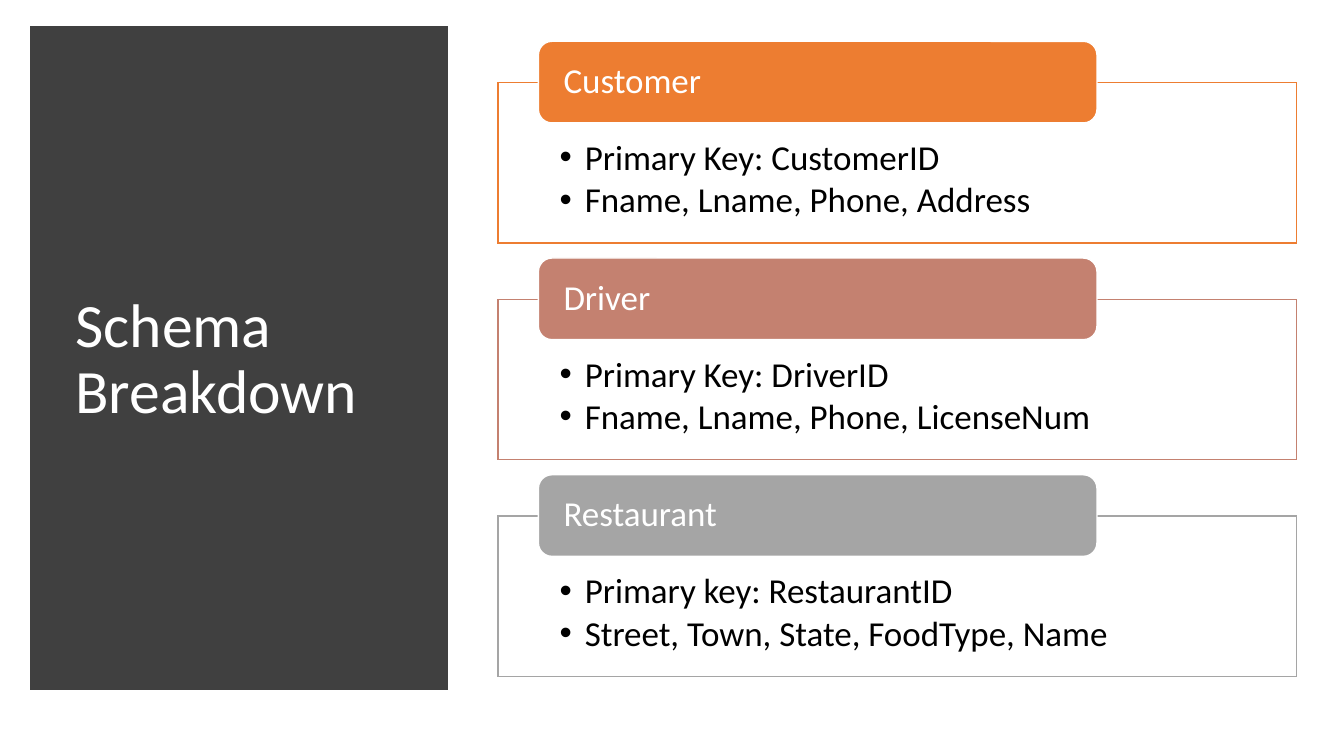
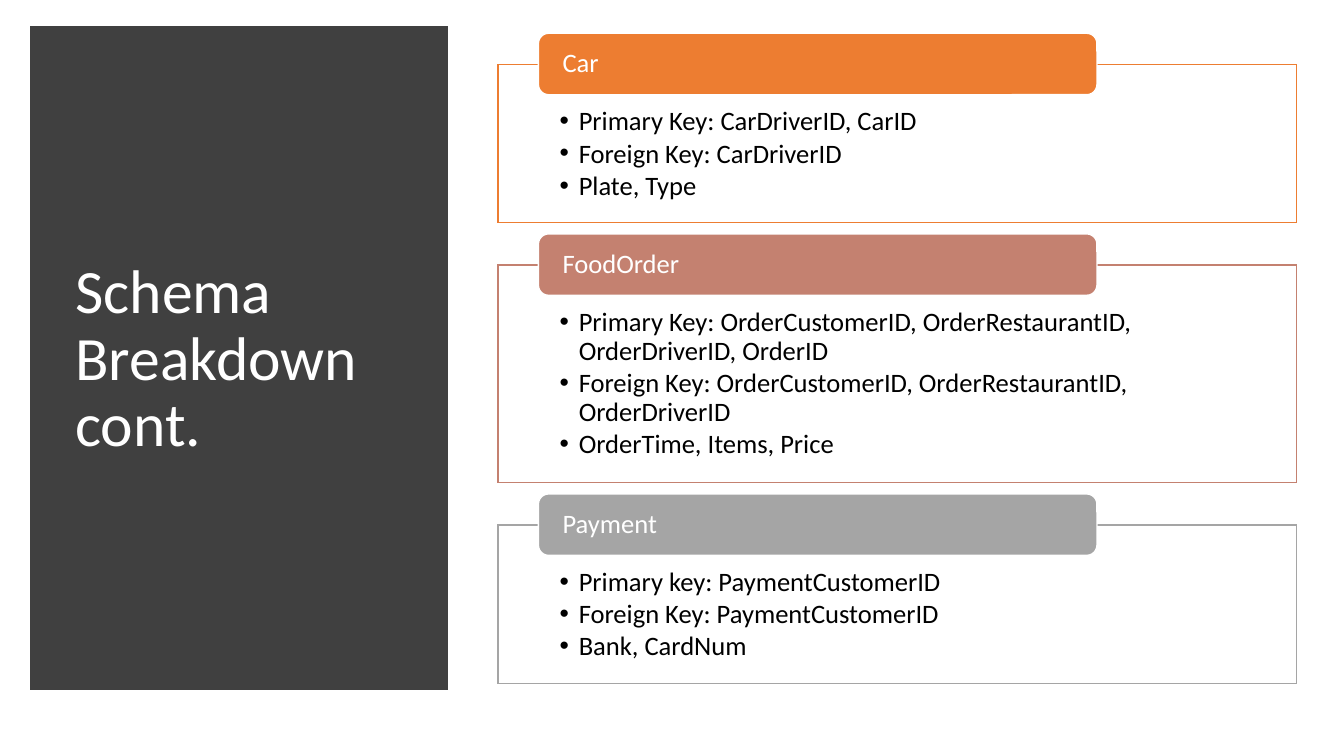
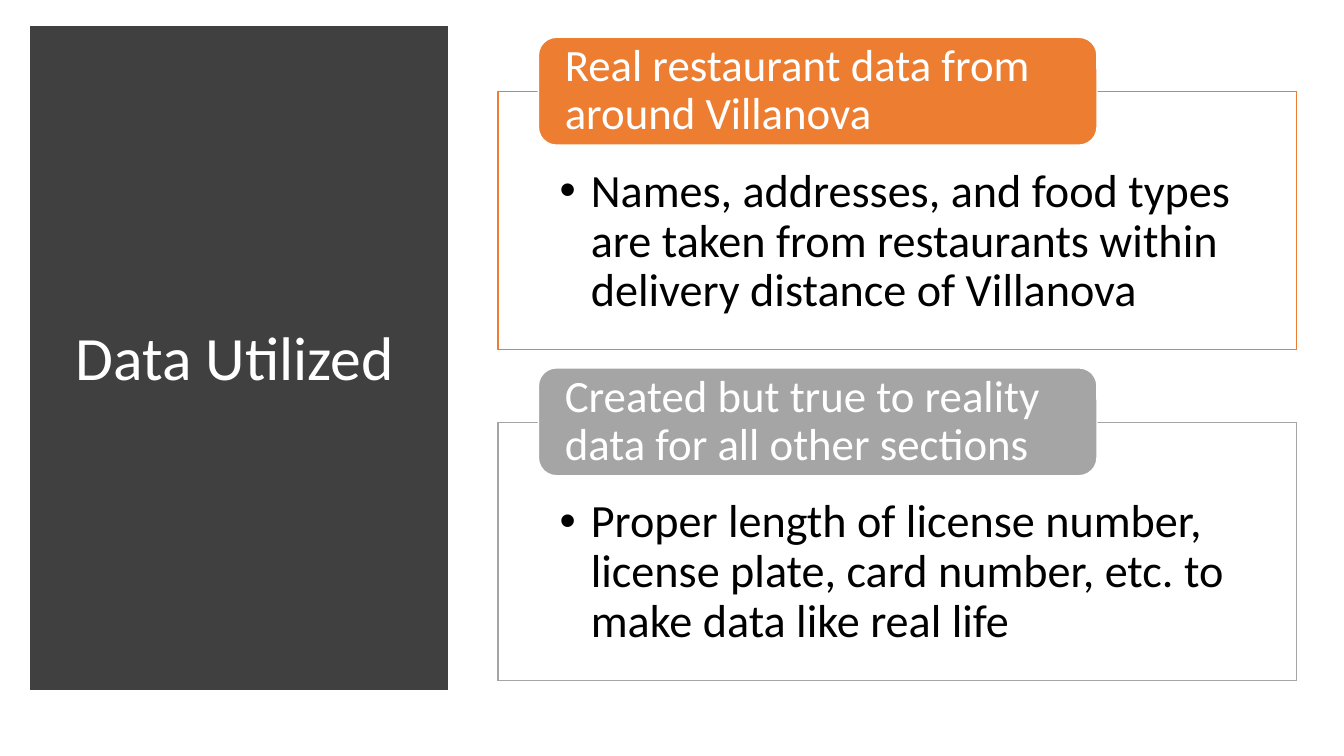
import lxml.etree
import pptx
import pptx.dml.color
import pptx.enum.shapes
import pptx.enum.text
import pptx.oxml.ns
import pptx.util

# Shared look
HUES = {
    "dark": "404040", "white": "FFFFFF", "black": "000000",
    "orange": "ED7D31", "rose": "C48170", "gray": "A5A5A5",
}
FONT = "Calibri"
SIZE = (1333, 750)
PANEL = (37, 33, 400, 645)
TITLE = (65, 70, 346, 575)
STACK = (494, 33, 792, 645)
KIND = pptx.enum.shapes.MSO_SHAPE
ANCHOR = pptx.enum.text.MSO_ANCHOR
qn = pptx.oxml.ns.qn


def px(num):
    return pptx.util.Emu(num * 9144)


def rgb(name):
    return pptx.dml.color.RGBColor.from_string(HUES[name])


def apply(item, form):
    for key, val in form.items():
        setattr(item, key, val)


def draw(slide, kind, box, fill, edge, width=1):
    shape = slide.shapes.add_shape(kind, *map(px, box))
    shape.shadow.inherit = False
    shape.fill.solid()
    shape.fill.fore_color.rgb = rgb(fill)
    shape.line.color.rgb = rgb(edge)
    shape.line.width = pptx.util.Pt(width)
    line = shape._element.spPr.find(qn("a:ln"))
    lxml.etree.SubElement(line, qn("a:miter"), lim="800000")
    return shape


def write(shape, lines, size, hue, pads, anchor, indent=0):
    frame = shape.text_frame
    sides = ("margin_left", "margin_top", "margin_right", "margin_bottom")
    apply(frame, dict(zip(sides, map(px, pads))))
    apply(frame, {"word_wrap": True, "vertical_anchor": anchor})
    for num, line in enumerate(lines):
        para = frame.add_paragraph() if num else frame.paragraphs[0]
        para.text = line
        apply(para, {"alignment": pptx.enum.text.PP_ALIGN.LEFT,
                     "line_spacing": 0.9})
        for run in para.runs:
            apply(run.font, {"name": FONT, "size": pptx.util.Pt(size)})
            run.font.color.rgb = rgb(hue)
        if indent:
            para.space_after = pptx.util.Pt(round(size * 0.13, 1))
            props = para._p.get_or_add_pPr()
            props.set("marL", str(px(indent)))
            props.set("indent", str(-px(indent)))
            lxml.etree.SubElement(props, qn("a:buFont"), typeface="Arial")
            lxml.etree.SubElement(props, qn("a:buChar"), char="•")


# Dark panel with the slide title
def side(slide, title):
    draw(slide, KIND.RECTANGLE, PANEL, "dark", "dark", 10)
    area = slide.shapes.add_textbox(*map(px, TITLE))
    write(area, [title], 44, "white", (10, 5, 10, 5), ANCHOR.MIDDLE)


# Outlined list with a tab over its top edge
def card(slide, box, tab, hue, head, items, form):
    left, top, width, high = box
    size = form["body"]
    half = (tab + 1) // 2
    body = draw(slide, KIND.RECTANGLE, (left, top + half, width, high - half),
                "white", hue)
    pads = (61, round(size * 2.28), 61, round(size * 0.78))
    write(body, items, size, "black", pads, ANCHOR.TOP, form["indent"])
    label = draw(slide, KIND.ROUNDED_RECTANGLE,
                 (left + 40, top, width * 7 // 10, tab), hue, "white")
    write(label, [head], form["head"], "white", (21, 0, 21, 0), ANCHOR.MIDDLE)


# Column of cards at equal gaps
def stack(slide, box, form, cards):
    left, top, width, _ = box
    top += form["drop"]
    for hue, high, head, items in cards:
        card(slide, (left, top, width, high), form["tab"], hue, head, items, form)
        top += high + form["gap"]


DECK = [
    ("Schema Breakdown",
     {"drop": 8, "tab": 81, "gap": 15, "head": 25, "body": 25, "indent": 25},
     [("orange", 200, "Customer",
       ["Primary Key: CustomerID", "Fname, Lname, Phone, Address"]),
      ("rose", 200, "Driver",
       ["Primary Key: DriverID", "Fname, Lname, Phone, LicenseNum"]),
      ("gray", 200, "Restaurant",
       ["Primary key: RestaurantID", "Street, Town, State, FoodType, Name"])]),
    ("Schema Breakdown\ncont.",
     {"drop": 0, "tab": 61, "gap": 11, "head": 19, "body": 19, "indent": 19},
     [("orange", 188, "Car",
       ["Primary Key: CarDriverID, CarID", "Foreign Key: CarDriverID",
        "Plate, Type"]),
      ("rose", 247, "FoodOrder",
       ["Primary Key: OrderCustomerID, OrderRestaurantID, OrderDriverID, OrderID",
        "Foreign Key: OrderCustomerID, OrderRestaurantID, OrderDriverID",
        "OrderTime, Items, Price"]),
      ("gray", 188, "Payment",
       ["Primary key: PaymentCustomerID", "Foreign Key: PaymentCustomerID",
        "Bank, CardNum"])]),
    ("Data Utilized",
     {"drop": 4, "tab": 107, "gap": 18, "head": 32, "body": 33, "indent": 31},
     [("orange", 310, "Real restaurant data from around Villanova",
       ["Names, addresses, and food types are taken from restaurants within "
        "delivery distance of Villanova"]),
      ("gray", 310, "Created but true to reality data for all other sections",
       ["Proper length of license number, license plate, card number, etc. to "
        "make data like real life"])]),
]


def main():
    deck = pptx.Presentation()
    apply(deck, dict(zip(("slide_width", "slide_height"), map(px, SIZE))))
    for title, form, cards in DECK:
        slide = deck.slides.add_slide(deck.slide_layouts[6])
        side(slide, title)
        stack(slide, STACK, form, cards)
    deck.save("out.pptx")


if __name__ == "__main__":
    main()
